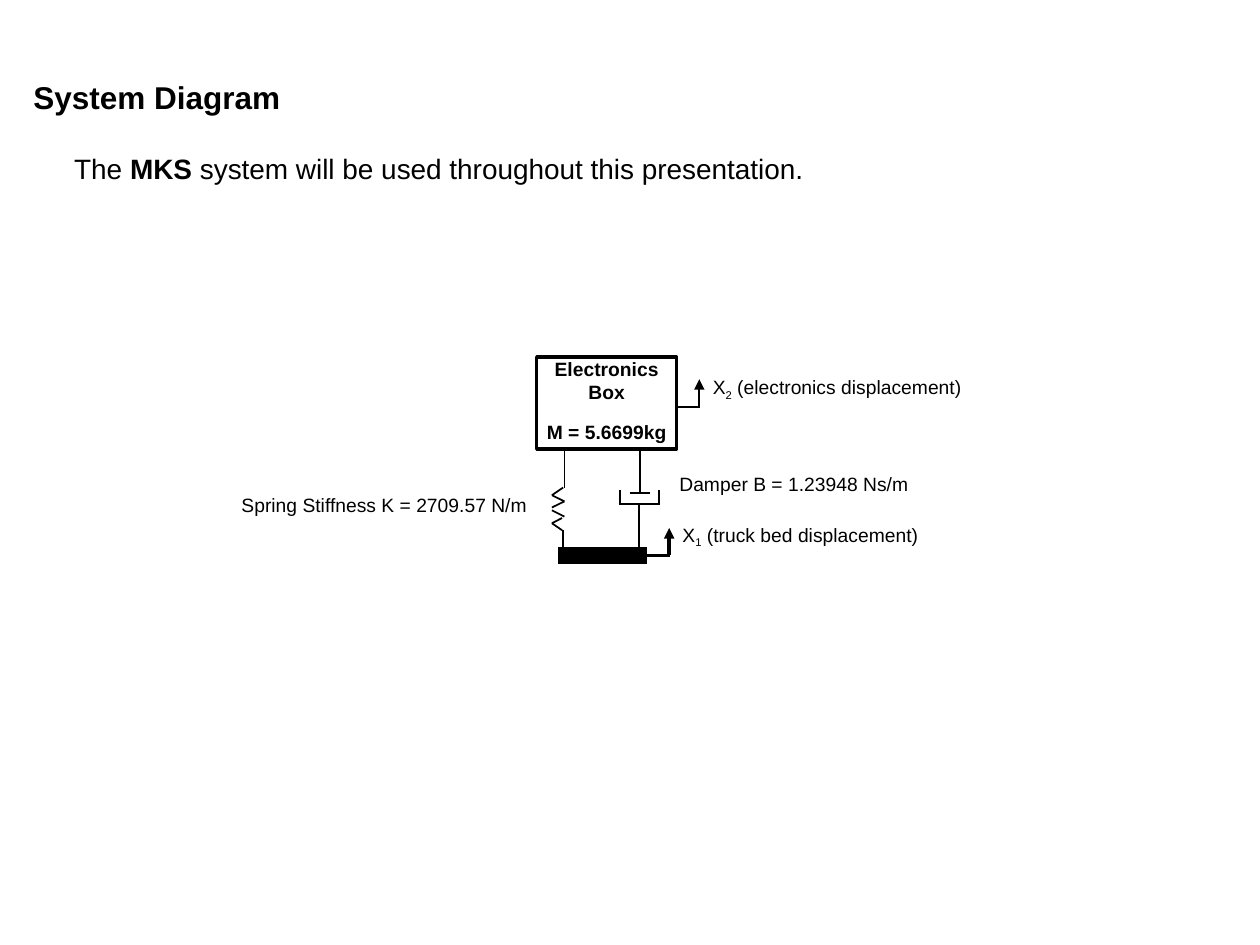
import itertools
from dataclasses import dataclass

import lxml.etree
import pptx
import pptx.dml.color
import pptx.enum.shapes
import pptx.enum.text
import pptx.oxml.ns
import pptx.util

Pt = pptx.util.Pt
qn = pptx.oxml.ns.qn
Anchor = pptx.enum.text.MSO_ANCHOR
Align = pptx.enum.text.PP_ALIGN


@dataclass(frozen=True)
class Theme:
    font: str = "Arial"
    ink: str = "000000"
    paper: str = "FFFFFF"
    title: float = 18
    body: float = 16
    label: float = 11
    thin: float = 1
    bold: float = 2
    bed: float = 10


THEME = Theme()


def color(code):
    return pptx.dml.color.RGBColor.from_string(code)


def write(frame, paras, size, inset=(0, 0), anchor=Anchor.TOP,
          align=Align.LEFT, wrap=True, gap=0):
    frame.word_wrap = wrap
    frame.vertical_anchor = anchor
    frame.margin_left = frame.margin_right = Pt(inset[0])
    frame.margin_top = frame.margin_bottom = Pt(inset[1])
    for num, runs in enumerate(paras):
        para = frame.add_paragraph() if num else frame.paragraphs[0]
        para.alignment = align
        if num:
            para.space_before = Pt(gap)
        for text, kind in runs:
            run = para.add_run()
            run.text = text
            run.font.name = THEME.font
            run.font.size = Pt(size)
            run.font.bold = kind == "bold"
            run.font.color.rgb = color(THEME.ink)
            if kind == "sub":
                run.font._element.set("baseline", "-25000")


def label(slide, area, runs, size=THEME.label, **form):
    box = slide.shapes.add_textbox(*map(Pt, area))
    write(box.text_frame, [runs], size, **form)


def line(slide, start, end, width=THEME.thin, arrow=False):
    link = slide.shapes.add_connector(
        pptx.enum.shapes.MSO_CONNECTOR.STRAIGHT, *map(Pt, start + end))
    link.line.width = Pt(width)
    link.line.color.rgb = color(THEME.ink)
    if arrow:
        tail = lxml.etree.SubElement(link.line._get_or_add_ln(), qn("a:tailEnd"))
        tail.set("type", "triangle")
    lxml.etree.SubElement(link._element.spPr, qn("a:effectLst"))


def chain(slide, *points):
    for start, end in itertools.pairwise(points):
        line(slide, start, end)


def mass(slide):
    box = slide.shapes.add_shape(
        pptx.enum.shapes.MSO_SHAPE.RECTANGLE, *map(Pt, (306.7, 204, 80, 52.6)))
    box.shadow.inherit = False
    box.fill.solid()
    box.fill.fore_color.rgb = color(THEME.paper)
    box.line.color.rgb = color(THEME.ink)
    box.line.width = Pt(THEME.bold)
    paras = [[("Electronics Box", "bold")], [("M = 5.6699kg", "bold")]]
    write(box.text_frame, paras, THEME.label, align=Align.CENTER, gap=10)


def spring(slide):
    left, right = 315.4, 322.5
    chain(slide, (right, 257), (right, 278.6))
    chain(slide, (321.8, 278.6), (left, 283), (right, 286.5), (left, 290))
    chain(slide, (left, 291.6), (right, 295.2))
    chain(slide, (321.2, 296), (left, 299), (321.2, 303))
    chain(slide, (321.8, 303), (321.8, 319.6))


def damper(slide):
    mid = 365.6
    chain(slide, (mid, 257.6), (mid, 281.6))
    chain(slide, (360, 281.6), (371.4, 281.6))
    for side in (354.1, 376.4):
        chain(slide, (side, 280.2), (side, 288.7))
    chain(slide, (353.5, 288.2), (376, 288.2))
    chain(slide, (365, 288.7), (365, 317.5))


def motion(slide, x, y, width):
    line(slide, (x, y), (x + 13.7, y), width)
    line(slide, (x + 13, y - 0.5), (x + 13, y - 15.8), width, arrow=True)


def main():
    deck = pptx.Presentation()
    deck.slide_width, deck.slide_height = Pt(720), Pt(540)
    slide = deck.slides.add_slide(deck.slide_layouts[6])

    pad = (7.2, 3.6)
    label(slide, (12, 36, 546.5, 34), [("System Diagram", "bold")],
          THEME.title, inset=pad, anchor=Anchor.BOTTOM)
    label(slide, (35.3, 82.8, 431.3, 26.6),
          [("The ", ""), ("MKS", "bold"),
           (" system will be used throughout this presentation.", "")],
          THEME.body, inset=pad, wrap=False)

    mass(slide)
    spring(slide)
    damper(slide)
    line(slide, (319, 317.5), (370, 317.5), THEME.bed)
    motion(slide, 386.6, 232.5, THEME.thin)
    motion(slide, 369.4, 317.5, THEME.bold)

    label(slide, (407.3, 214.6, 181, 15),
          [("X", ""), ("2", "sub"), (" (electronics displacement)", "")])
    label(slide, (388.2, 270, 171.4, 13), [("Damper B = 1.23948 Ns/m", "")])
    label(slide, (138, 281.8, 174.2, 13),
          [("Spring Stiffness K = 2709.57 N/m", "")])
    label(slide, (390, 298.8, 135.4, 15),
          [("X", ""), ("1", "sub"), (" (truck bed displacement)", "")])
    deck.save("out.pptx")


if __name__ == "__main__":
    main()
